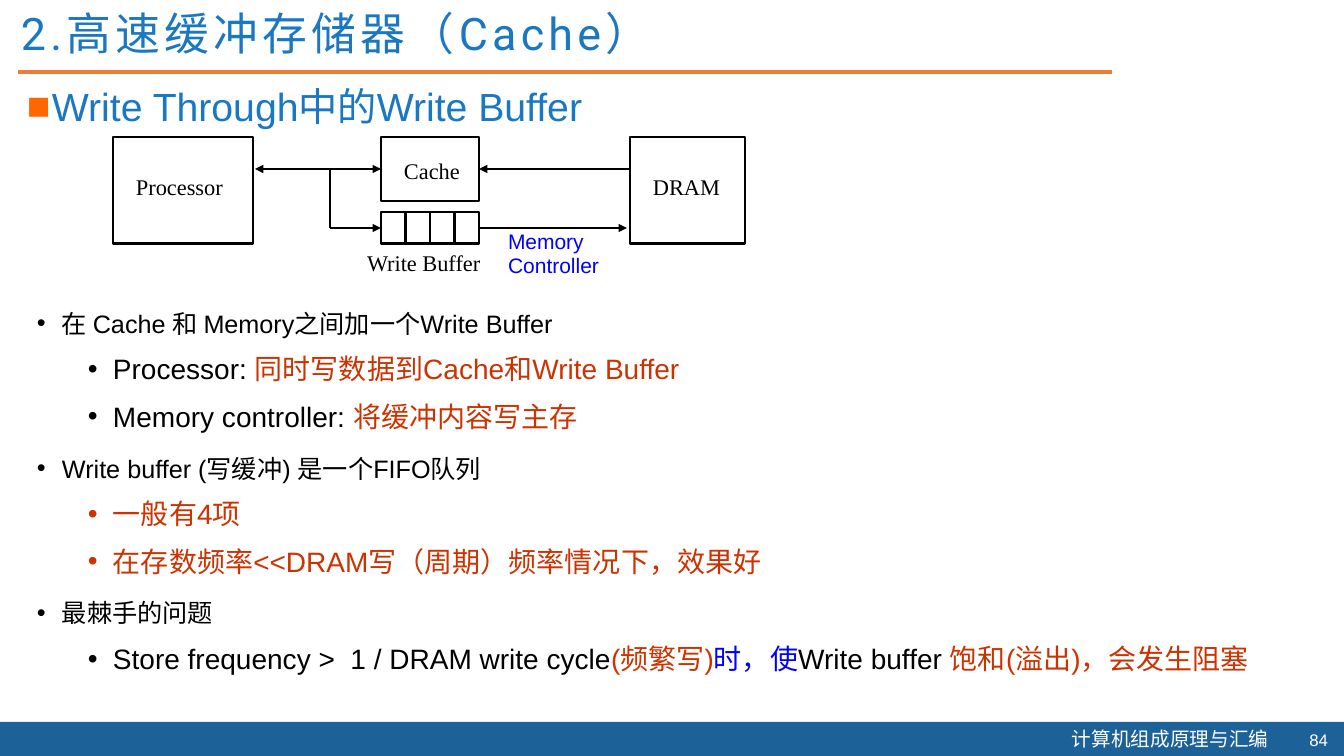
import pptx
import pptx.util
import pptx.dml.color
import pptx.enum.shapes
import pptx.enum.text
import pptx.oxml.ns
from lxml import etree

COLORS = {"black": "000000", "white": "FFFFFF", "blue": "1A78C3", "footer": "1C6299",
          "rule": "ED7D31", "bullet": "FF6600", "red": "CC3300", "note": "0000FF"}
SANS, SERIF, TITLE_FONT, CJK = "Arial", "Times New Roman", "Roboto", "Noto Sans CJK SC"

# Content: places are left, top, width, height in px
TITLE = "2.高速缓冲存储器（Cache）"
HEADING = "Write Through中的Write Buffer"
COURSE, PAGE = "计算机组成原理与汇编", "84"
POINTS = [  # level, runs of (text, colour)
    (0, [("在 Cache 和 Memory之间加一个Write Buffer", "black")]),
    (1, [("Processor: ", "black"), ("同时写数据到Cache和Write Buffer", "red")]),
    (1, [("Memory controller: ", "black"), ("将缓冲内容写主存", "red")]),
    (0, [("Write buffer (写缓冲) 是一个FIFO队列", "black")]),
    (1, [("一般有4项", "red")]),
    (1, [("在存数频率<<DRAM写（周期）频率情况下，效果好", "red")]),
    (0, [("最棘手的问题", "black")]),
    (1, [("Store frequency >  1 / DRAM write cycle", "black"), ("(频繁写)", "red"),
         ("时，使", "note"), ("Write buffer ", "black"), ("饱和(溢出)，会发生阻塞", "red")]),
]
LEVELS = [dict(size=18, before=10, margin=25), dict(size=20, before=5, margin=76)]
BULLET_HANG = 25
UNITS = {"processor": (113, 137, 140, 107), "cache": (381, 137, 98, 64),
         "buffer": (381, 212, 98, 32), "dram": (630, 137, 115, 107)}
UNIT_LABELS = [("Processor", (126, 168, 115, 38)), ("Cache", (394, 152, 81, 38)),
               ("Write Buffer", (357, 244, 144, 36)), ("DRAM", (643, 168, 90, 36))]
CONTROLLER = "Memory Controller"
BUFFER_SLOTS = 4
CACHE_Y, BUFFER_Y, BRANCH_X = 169, 228, 330

SCALE = 914400 / 100.8


def px(length):
    return pptx.util.Emu(round(length * SCALE))


def rgb(name):
    return pptx.dml.color.RGBColor.from_string(COLORS[name])


def add_bullet(paragraph, char, margin, color=None):
    props = paragraph._p.get_or_add_pPr()
    props.set("marL", str(px(margin)))
    props.set("indent", str(-px(BULLET_HANG)))
    if color:
        holder = etree.SubElement(props, pptx.oxml.ns.qn("a:buClr"))
        etree.SubElement(holder, pptx.oxml.ns.qn("a:srgbClr"), val=COLORS[color])
    etree.SubElement(props, pptx.oxml.ns.qn("a:buFont"), typeface=SANS)
    etree.SubElement(props, pptx.oxml.ns.qn("a:buChar"), char=char)


def write(paragraph, text, size=16, font=SANS, color="black", spacing=None):
    run = paragraph.add_run()
    run.text = text
    run.font.size = pptx.util.Pt(size)
    run.font.name = font
    run.font.color.rgb = rgb(color)
    props = run._r.get_or_add_rPr()
    latin = props.find(pptx.oxml.ns.qn("a:latin"))
    latin.addnext(etree.Element(pptx.oxml.ns.qn("a:ea"), typeface=CJK))
    if spacing:
        props.set("spc", str(spacing * 100))


def add_frame(place, insets=(10, 5), wrap=True):
    frame = slide.shapes.add_textbox(*map(px, place)).text_frame
    frame.word_wrap = wrap
    frame.margin_left = frame.margin_right = px(insets[0])
    frame.margin_top = frame.margin_bottom = px(insets[1])
    return frame


def add_box(place, fill=None):
    box = slide.shapes.add_shape(pptx.enum.shapes.MSO_SHAPE.RECTANGLE, *map(px, place))
    box.shadow.inherit = False
    if fill:
        box.fill.solid()
        box.fill.fore_color.rgb = rgb(fill)
        box.line.fill.background()
    else:
        box.fill.background()
        box.line.color.rgb = rgb("black")
        box.line.width = pptx.util.Pt(2)
    return box


def add_line(start, end, color="black", width=2, head=False, tail=False, begin=None, finish=None):
    """begin and finish are (box, side) pairs to join."""
    line = slide.shapes.add_connector(pptx.enum.shapes.MSO_CONNECTOR.STRAIGHT,
                                      *map(px, start + end))
    if begin:
        line.begin_connect(*begin)
    if finish:
        line.end_connect(*finish)
    line.line.color.rgb = rgb(color)
    line.line.width = pptx.util.Pt(width)
    outline = line.line._get_or_add_ln()
    for tag, wanted in (("a:headEnd", head), ("a:tailEnd", tail)):
        if wanted:
            etree.SubElement(outline, pptx.oxml.ns.qn(tag), type="triangle")
    etree.SubElement(line._element.spPr, pptx.oxml.ns.qn("a:effectLst"))


deck = pptx.Presentation()
deck.slide_width, deck.slide_height = px(1344), px(756)
slide = deck.slides.add_slide(deck.slide_layouts[6])

# Footer and title rule
add_box((0, 722, 1344, 34), fill="footer")
write(add_frame((1062, 722, 220, 34)).paragraphs[0], COURSE, size=14, font=CJK, color="white")
page = add_frame((1288, 725, 50, 30))
page.vertical_anchor = pptx.enum.text.MSO_ANCHOR.MIDDLE
page.paragraphs[0].alignment = pptx.enum.text.PP_ALIGN.RIGHT
write(page.paragraphs[0], PAGE, size=12, color="white")
add_line((18, 72), (1112, 72), color="rule", width=3)

# Title and heading
title = add_frame((11, 7, 1074, 48)).paragraphs[0]
title.line_spacing = 0.9
write(title, TITLE, size=32, font=TITLE_FONT, color="blue", spacing=3)
heading = add_frame((17, 77, 1304, 77)).paragraphs[0]
add_bullet(heading, "■", BULLET_HANG, color="bullet")
write(heading, HEADING, size=28, color="blue")

# Explanation
points = add_frame((30, 299, 1314, 379), insets=(7, 3))
for index, (level, runs) in enumerate(POINTS):
    point = points.add_paragraph() if index else points.paragraphs[0]
    style = LEVELS[level]
    point.level = level
    point.line_spacing = 1.2
    if index:
        point.space_before = pptx.util.Pt(style["before"])
    add_bullet(point, "•", style["margin"])
    for text, color in runs:
        write(point, text, size=style["size"], color=color)

# Diagram: units, buffer slots and labels
units = {name: add_box(place) for name, place in UNITS.items()}
left, top, width, height = UNITS["buffer"]
for slot in range(1, BUFFER_SLOTS):
    x = left + width * slot / BUFFER_SLOTS
    add_line((x, top), (x, top + height))
for text, place in UNIT_LABELS:
    write(add_frame(place, wrap=False).paragraphs[0], text, font=SERIF)
controller = add_frame((508, 230, 101, 48), insets=(0, 0)).paragraphs[0]
controller.line_spacing = 0.95
write(controller, CONTROLLER, size=15, color="note")

# Diagram: data paths
cache, buffer = units["cache"], units["buffer"]
add_line((255, CACHE_Y), (381, CACHE_Y), head=True, tail=True, finish=(cache, 1))
add_line((479, CACHE_Y), (630, CACHE_Y), head=True, begin=(cache, 3))
add_line((BRANCH_X, CACHE_Y), (BRANCH_X, BUFFER_Y))
add_line((BRANCH_X, BUFFER_Y), (381, BUFFER_Y), tail=True, finish=(buffer, 1))
add_line((479, BUFFER_Y), (627, BUFFER_Y), tail=True, begin=(buffer, 3))

deck.save("out.pptx")
